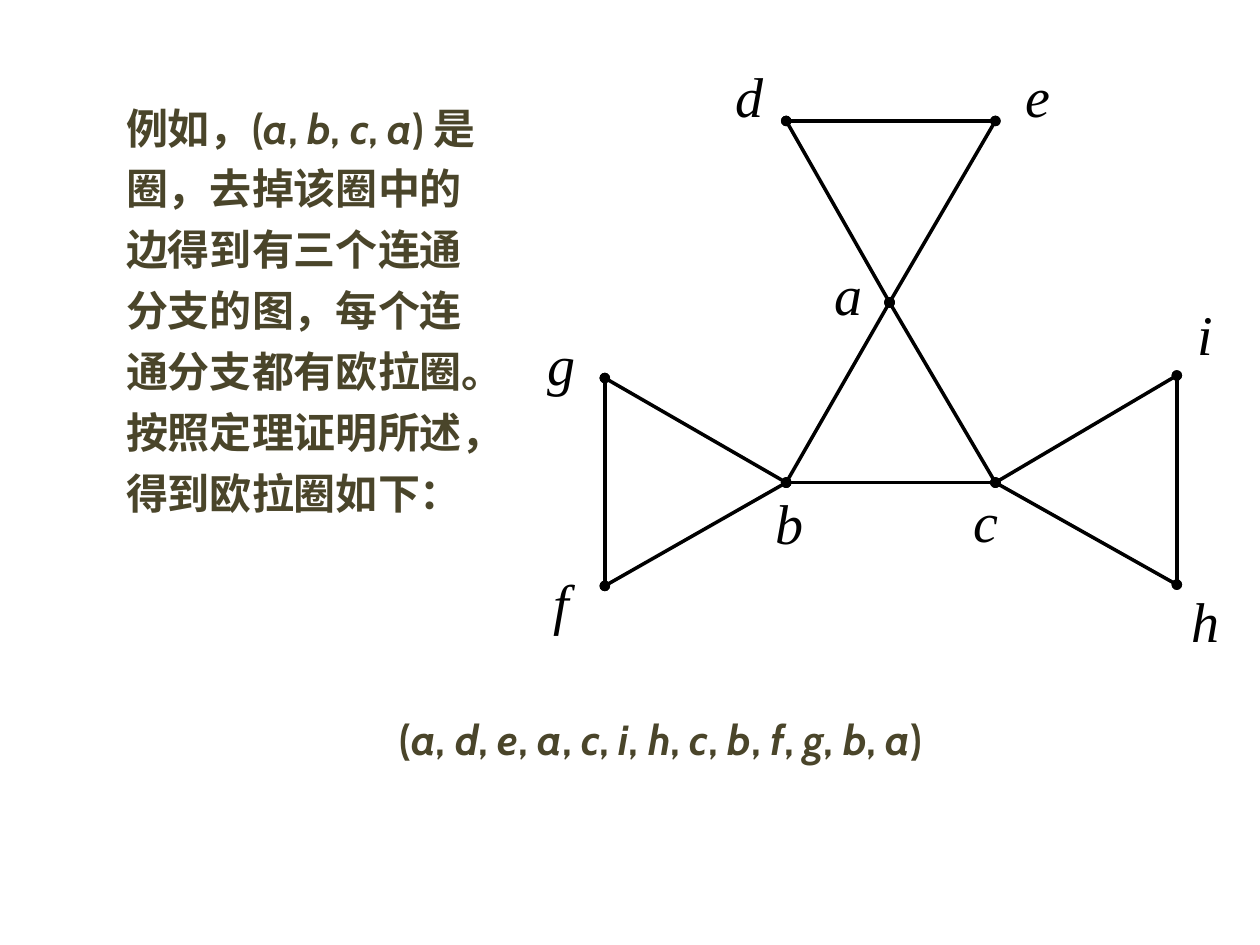
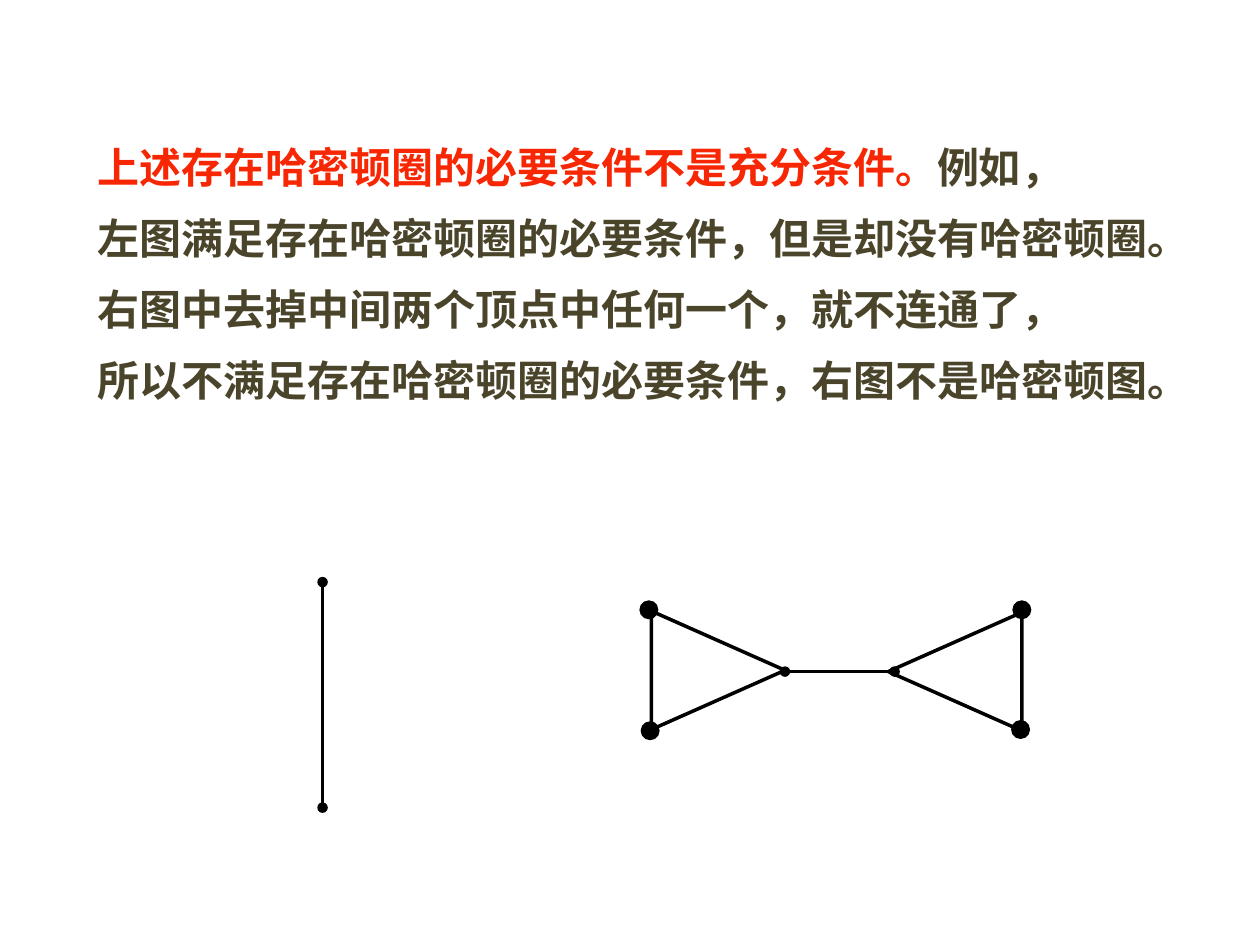
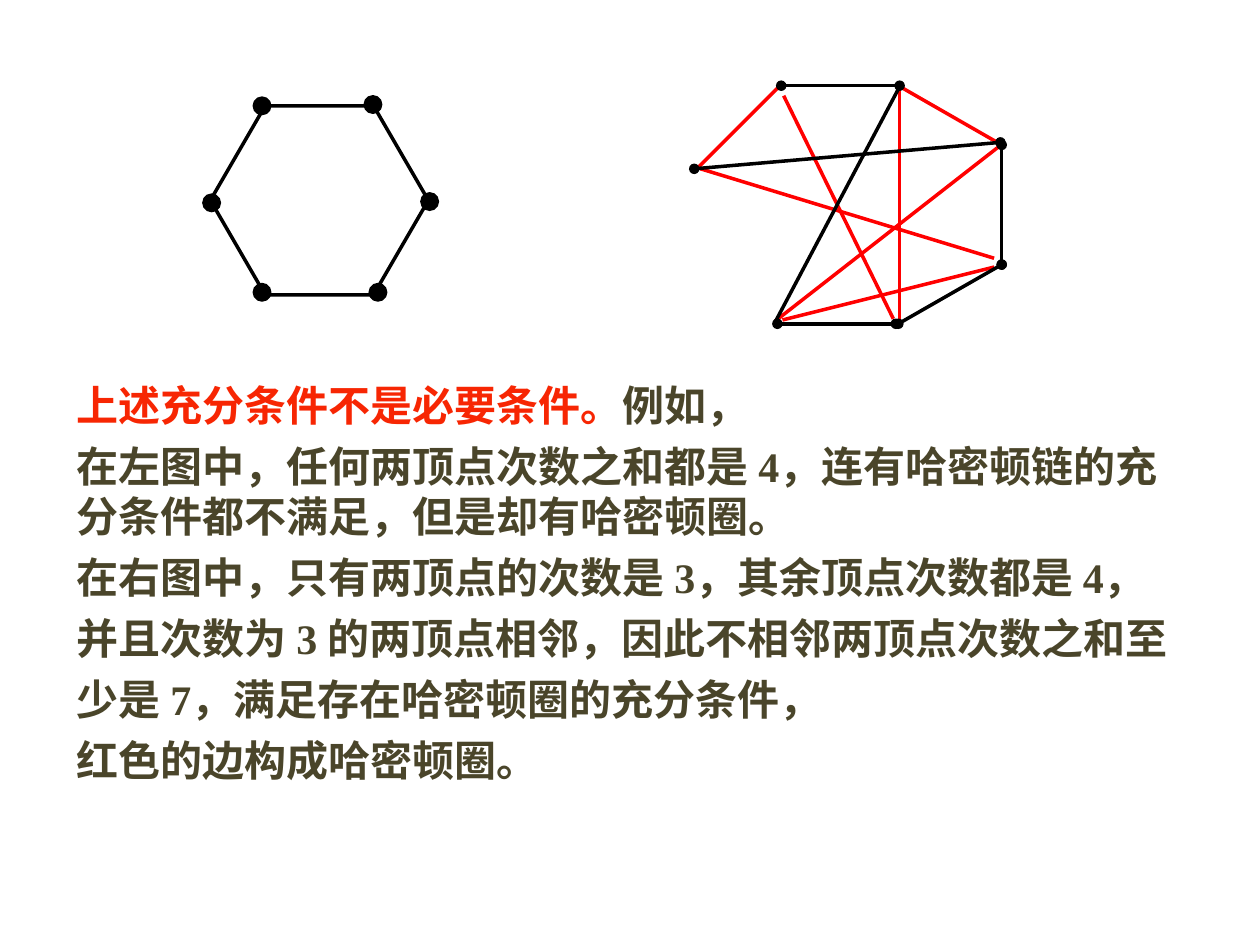
"""Build three slides on Euler and Hamilton circuits."""
from dataclasses import dataclass
from itertools import groupby

from lxml import etree
from pptx import Presentation
from pptx.dml.color import RGBColor
from pptx.enum import shapes, text
from pptx.oxml.ns import qn
from pptx.util import Inches, Pt


@dataclass(frozen=True)
class Theme:
    ink: RGBColor = RGBColor(0x4A, 0x45, 0x2A)
    alert: RGBColor = RGBColor(0xF7, 0x26, 0x03)
    black: RGBColor = RGBColor(0, 0, 0)
    red: RGBColor = RGBColor(0xFF, 0, 0)
    sans: str = "Cabin"
    serif: str = "Times New Roman"
    body: Pt = Pt(24)
    label: Pt = Pt(32)
    edge: Pt = Pt(2)
    rim: Pt = Pt(0.75)
    gap: Pt = Pt(6)
    dot: float = 0.14


T = Theme()

EULER_TEXT = [
    "例如，(a, b, c, a) 是",
    "圈，去掉该圈中的",
    "边得到有三个连通",
    "分支的图，每个连",
    "通分支都有欧拉圈。",
    "按照定理证明所述，",
    "得到欧拉圈如下：",
]
EULER_CIRCUIT = "(a, d, e, a, c, i, h, c, b, f, g, b, a)"
VERTICES = {
    "a": (7.06, 2.4), "b": (6.24, 3.83), "c": (7.9, 3.83),
    "d": (6.24, 0.96), "e": (7.9, 0.96), "f": (4.8, 4.65),
    "g": (4.8, 3), "h": (9.34, 4.64), "i": (9.34, 2.98),
}
TRIANGLES = ["abc", "ade", "bfg", "chi"]
LABELS = {
    "a": (6.3, 2.01), "b": (5.83, 3.83), "c": (7.39, 3.81),
    "d": (5.51, 0.44), "e": (7.8, 0.44), "f": (4.02, 4.46),
    "g": (4.02, 2.57), "h": (9.13, 4.61), "i": (9.13, 2.33),
}

NECESSARY_LEAD = "上述存在哈密顿圈的必要条件不是充分条件。"
NECESSARY_TEXT = [
    "例如，",
    "左图满足存在哈密顿圈的必要条件，但是却没有哈密顿圈。",
    "右图中去掉中间两个顶点中任何一个，就不连通了，",
    "所以不满足存在哈密顿圈的必要条件，右图不是哈密顿图。",
]
BARS = [((2.56, 4.62), (2.56, 6.41)), ((6.23, 5.33), (7.1, 5.33))]
WINGS = [(5.23, 4.79, 90), (7.11, 4.8, 270)]
WING_DOTS = [(5.09, 5.73), (5.08, 4.77), (8.03, 5.72), (8.04, 4.77)]

SUFFICIENT_LEAD = "上述充分条件不是必要条件。"
SUFFICIENT_TEXT = [
    "例如，",
    "在左图中，任何两顶点次数之和都是 4，连有哈密顿链的充分条件都不满足，但是却有哈密顿圈。",
    "在右图中，只有两顶点的次数是 3，其余顶点次数都是 4，",
    "并且次数为 3 的两顶点相邻，因此不相邻两顶点次数之和至",
    "少是 7，满足存在哈密顿圈的充分条件，",
    "红色的边构成哈密顿圈。",
]
HEXAGON_DOTS = [(2.01, 0.77), (1.61, 1.54), (2.01, 2.25),
                (2.93, 2.25), (3.34, 1.53), (2.89, 0.76)]
CIRCUIT_EDGES = [
    ((7.89, 2.05), (5.56, 1.34)), ((7.14, 0.68), (7.14, 2.53)),
    ((7.89, 2.12), (6.21, 2.54)), ((7.92, 1.17), (6.15, 2.55)),
    ((7.13, 0.68), (7.95, 1.15)), ((5.53, 1.34), (6.2, 0.67)),
    ((6.22, 0.76), (7.09, 2.53)),
]
DOTTED_EDGES = [
    ((6.2, 0.68), (7.14, 0.68)), ((7.95, 1.15), (7.95, 2.1)),
    ((7.13, 2.57), (7.95, 2.1)), ((6.17, 2.57), (7.11, 2.57)),
    ((7.94, 1.13), (5.51, 1.34)),
]
PLAIN_EDGE = ((7.16, 0.65), (6.15, 2.56))


def assign(target, **values):
    for name, value in values.items():
        setattr(target, name, value)


def add_runs(p, words, color, font):
    for italic, chars in groupby(words, lambda ch: ch.isascii() and ch.isalpha()):
        r = p.add_run()
        r.text = "".join(chars)
        assign(r.font, name=font, size=T.body, bold=True, italic=italic)
        r.font.color.rgb = color


def add_body(s, box, lines, font, lead="", spacing=1.0):
    sp = s.placeholders[1]
    assign(sp, **dict(zip(("left", "top", "width", "height"), map(Inches, box))))
    tf = sp.text_frame
    assign(tf, word_wrap=True, auto_size=text.MSO_AUTO_SIZE.NONE,
           vertical_anchor=text.MSO_ANCHOR.TOP)
    for n, line in enumerate(lines):
        p = tf.add_paragraph() if n else tf.paragraphs[0]
        ppr = p._p.get_or_add_pPr()
        assign(p, line_spacing=spacing, space_before=T.gap if n else Pt(0))
        ppr.set("marL", "0")
        ppr.set("indent", "0")
        etree.SubElement(ppr, qn("a:buNone"))
        if lead and n == 0:
            add_runs(p, lead, T.alert, font)
        add_runs(p, line, T.ink, font)
    return tf


def add_edge(s, start, end, color=T.black, dotted=True):
    sp = s.shapes.add_connector(shapes.MSO_CONNECTOR.STRAIGHT,
                                *map(Inches, (*start, *end)))
    sp.line.color.rgb = color
    sp.line.width = T.edge
    if dotted:
        ln = sp.line._get_or_add_ln()
        for tag in ("a:headEnd", "a:tailEnd"):
            etree.SubElement(ln, qn(tag), type="oval")
    etree.SubElement(sp._element.spPr, qn("a:effectLst"))


def add_outline(s, kind, box, rotation=0):
    sp = s.shapes.add_shape(kind, *map(Inches, box))
    sp.shadow.inherit = False
    sp.fill.background()
    sp.line.color.rgb = T.black
    assign(sp.line, width=T.edge)
    sp.rotation = rotation
    return sp


def add_dots(s, corners):
    for x, y in corners:
        sp = add_outline(s, shapes.MSO_SHAPE.OVAL, (x, y, T.dot, T.dot))
        sp.fill.solid()
        sp.fill.fore_color.rgb = T.black
        sp.line.width = T.rim


def add_label(s, name, corner):
    tf = s.shapes.add_textbox(*map(Inches, (*corner, 0.87, 0.64))).text_frame
    tf.word_wrap = True
    p = tf.paragraphs[0]
    p.alignment = text.PP_ALIGN.CENTER
    r = p.add_run()
    r.text = name
    assign(r.font, name=T.serif, size=T.label, italic=True)
    r.font.color.rgb = T.black


def add_slide(prs):
    s = prs.slides.add_slide(prs.slide_layouts[1])
    title = s.shapes.title._element
    title.getparent().remove(title)
    return s


def euler_slide(prs):
    s = add_slide(prs)
    tf = add_body(s, (0.9, 0.76, 8.69, 6.39), EULER_TEXT + [EULER_CIRCUIT], T.sans)
    assign(tf.paragraphs[-1], alignment=text.PP_ALIGN.CENTER, space_before=Pt(112))
    for u, v, w in TRIANGLES:
        for start, end in ((u, v), (v, w), (w, u)):
            add_edge(s, VERTICES[start], VERTICES[end])
    for name, corner in LABELS.items():
        add_label(s, name, corner)


def necessary_slide(prs):
    s = add_slide(prs)
    add_body(s, (0.67, 0.99, 8.9, 2.99), NECESSARY_TEXT, T.sans, NECESSARY_LEAD, 1.2)
    for x, y, rotation in WINGS:
        add_outline(s, shapes.MSO_SHAPE.ISOSCELES_TRIANGLE, (x, y, 0.94, 1.06), rotation)
    for bar in BARS:
        add_edge(s, *bar)
    add_dots(s, WING_DOTS)


def sufficient_slide(prs):
    s = add_slide(prs)
    add_body(s, (0.51, 2.96, 9, 4.02), SUFFICIENT_TEXT, T.serif, SUFFICIENT_LEAD)
    hexagon = add_outline(s, shapes.MSO_SHAPE.HEXAGON, (1.67, 0.84, 1.73, 1.5))
    hexagon.adjustments[0] = 0.29
    add_dots(s, HEXAGON_DOTS)
    for edge in CIRCUIT_EDGES:
        add_edge(s, *edge, color=T.red, dotted=False)
    for edge in DOTTED_EDGES:
        add_edge(s, *edge)
    add_edge(s, *PLAIN_EDGE, dotted=False)


def main():
    prs = Presentation()
    assign(prs, slide_width=Inches(10), slide_height=Inches(7.5))
    for build in (euler_slide, necessary_slide, sufficient_slide):
        build(prs)
    prs.save("out.pptx")


if __name__ == "__main__":
    main()
